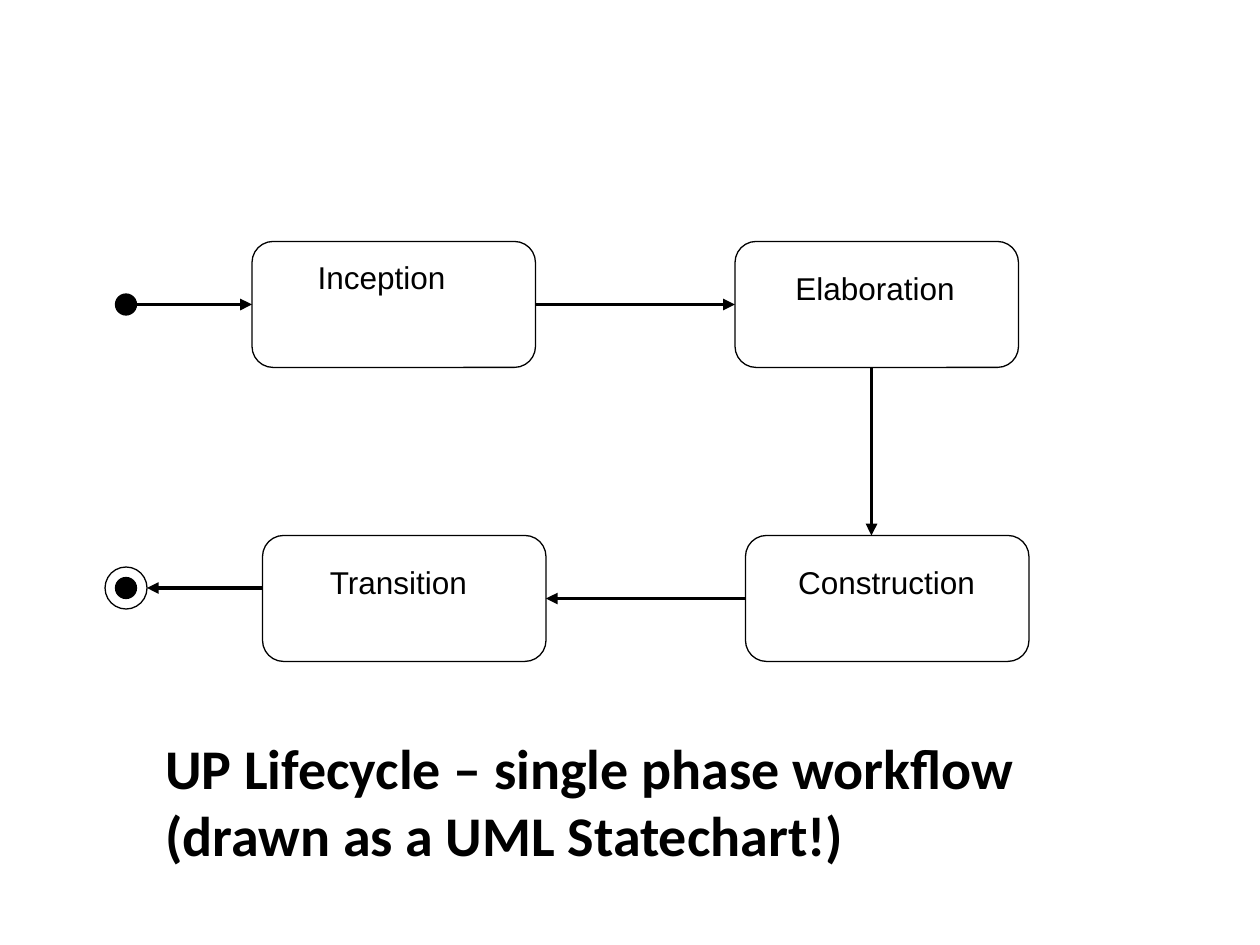
from lxml import etree
from pptx import Presentation
from pptx import util as u
from pptx.dml.color import RGBColor
from pptx.enum import shapes, text
from pptx.oxml.ns import qn

COLOURS = {"ink": "000000"}
ink = RGBColor.from_string(COLOURS["ink"])

presentation = Presentation()
presentation.slide_width, presentation.slide_height = u.Pt(720), u.Pt(540)
slide = presentation.slides.add_slide(presentation.slide_layouts[6])


def add_outline(kind, left, top, width, height, filled=False):
    shape = slide.shapes.add_shape(kind, u.Pt(left), u.Pt(top), u.Pt(width), u.Pt(height))
    shape.shadow.inherit = False
    if filled:
        shape.fill.solid()
        shape.fill.fore_color.rgb = ink
    else:
        shape.fill.background()
    shape.line.color.rgb = ink
    shape.line.width = u.Pt(0.74)
    return shape


def add_label(lines, left, top, width, height, font_format):
    box = slide.shapes.add_textbox(u.Pt(left), u.Pt(top), u.Pt(width), u.Pt(height))
    frame = box.text_frame
    frame.word_wrap = False
    frame.auto_size = text.MSO_AUTO_SIZE.SHAPE_TO_FIT_TEXT
    frame.text = lines
    for paragraph in frame.paragraphs:
        font = paragraph.runs[0].font
        font.color.rgb = ink
        for name, value in font_format.items():
            setattr(font, name, value)


# States: name, box left and top, label left, top and width
states = [
    ("Inception", 144, 138, 174.4, 144, 89),
    ("Elaboration", 420, 138, 447.4, 150, 107),
    ("Construction", 426, 306, 449, 318, 117),
    ("Transition", 150, 306, 181.4, 318, 94),
]
for name, left, top, *label in states:
    state = add_outline(shapes.MSO_SHAPE.ROUNDED_RECTANGLE, left, top, 162, 72)
    state.adjustments[0] = 0.167

# Start dot, end dot and end ring, centred on one line
for centre_y, size, filled in [(174, 12, True), (336, 12, True), (336, 24, False)]:
    add_outline(shapes.MSO_SHAPE.OVAL, 72 - size / 2, centre_y - size / 2, size, size, filled)

# Transitions between states
transitions = [
    (78, 174, 144, 174),
    (306, 174, 420, 174),
    (498, 210, 498, 306),
    (426, 342, 312, 342),
    (150, 336, 84, 336),
]
for ends in transitions:
    arrow = slide.shapes.add_connector(
        shapes.MSO_CONNECTOR.STRAIGHT, *[u.Pt(value) for value in ends])
    arrow.line.color.rgb = ink
    arrow.line.width = u.Pt(2.24)
    etree.SubElement(arrow.line._get_or_add_ln(), qn("a:tailEnd"), type="triangle")
    etree.SubElement(arrow._element.spPr, qn("a:effectLst"))

# State names
for name, _, _, left, top, width in states:
    add_label(name, left, top, width, 29, {"name": "Arial", "size": u.Pt(18)})

# Caption
add_label("UP Lifecycle – single phase workflow\n(drawn as a UML Statechart!)",
          87.4, 415.5, 501, 84, {"name": "Calibri", "size": u.Pt(32), "bold": True})

presentation.save("out.pptx")
